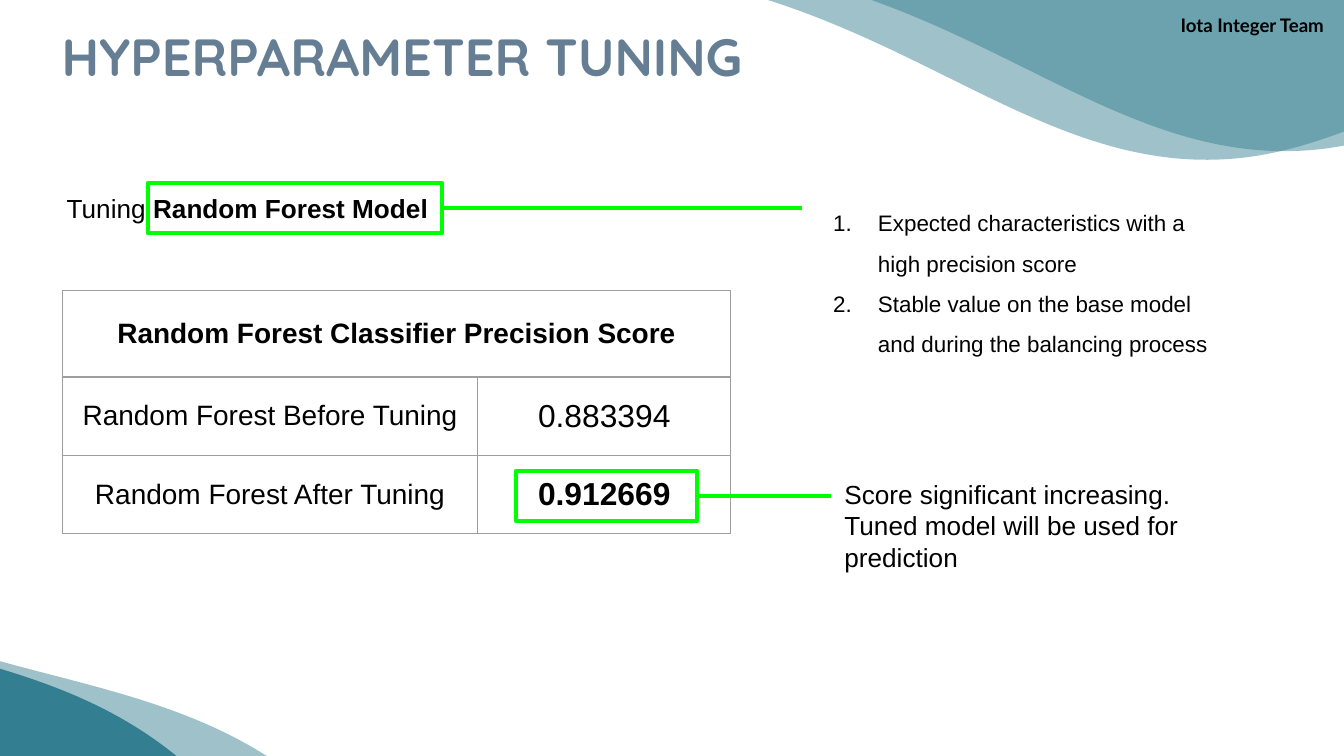
from lxml.etree import SubElement
from pptx import Presentation
from pptx.dml.color import RGBColor
from pptx.enum.shapes import MSO_CONNECTOR as Link, MSO_SHAPE as Form
from pptx.enum.text import MSO_ANCHOR as Anchor, PP_ALIGN as Align
from pptx.oxml import parse_xml
from pptx.oxml.ns import nsdecls, qn
from pptx.util import Pt

TEAL, LIME, BLACK = "337E90", "00FF00", "000000"
PAD = 7.2


def tint(code):
    """Turn a hex string into a colour."""
    return RGBColor.from_string(code)


def write(para, text, size=14, font="Arial", color=BLACK, bold=False, align=None):
    """Add one formatted run to a paragraph."""
    run = para.add_run()
    run.text = text
    face = run.font
    face.size, face.name, face.bold = Pt(size), font, bold
    face.color.rgb = tint(color)
    if align is not None:
        para.alignment = align


def pad(item):
    """Set equal margins on a text frame or cell."""
    item.margin_left = item.margin_right = Pt(PAD)
    item.margin_top = item.margin_bottom = Pt(PAD)


def frame(slide, box):
    """Add a wrapping text box and return its text frame."""
    text = slide.shapes.add_textbox(*map(Pt, box)).text_frame
    text.word_wrap = True
    pad(text)
    return text


def label(slide, box, text, **style):
    """Place a text box with a single run."""
    write(frame(slide, box).paragraphs[0], text, **style)


def bend(shape, starts):
    """Fuse three straight segments into a cubic curve at each start."""
    lines = list(shape._element.iter(qn("a:lnTo")))
    for i in starts:
        first, *rest = lines[i:i + 3]
        first.tag = qn("a:cubicBezTo")
        for line in rest:
            first.append(line[0])
            line.getparent().remove(line)


def wave(slide, left, top, spots, starts, alpha=47, turn=0):
    """Fill a curved outline with its corner at left, top."""
    trail = [(Pt(left + x), Pt(top + y)) for x, y in spots]
    pen = slide.shapes.build_freeform(*trail[0])
    pen.add_line_segments(trail[1:], close=False)
    shape = pen.convert_to_shape()
    bend(shape, starts)
    SubElement(next(shape._element.iter(qn("a:path"))), qn("a:close"))
    shape.rotation = turn
    shape.shadow.inherit = False
    shape.line.fill.background()
    shape.fill.solid()
    shape.fill.fore_color.rgb = tint(TEAL)
    if alpha < 100:
        hue = shape._element.spPr.find(qn("a:solidFill"))[0]
        SubElement(hue, qn("a:alpha"), val=str(alpha * 1000))


def waves(slide):
    """Draw the paired waves in two corners."""
    low = ((394.6, 240), (0, 240), (0, 0), (123, 202.5), (286, 119.5), (394.6, 240))
    high = ((600.5, 85.7), (522, 85.7), (451.5, 134), (381, 134),
            (255.6, 134), (190, 0), (0, 0), (600.5, 0))
    wave(slide, -208, 202, low, [2])
    wave(slide, 275, -41.8, high, [0, 3], turn=355)
    wave(slide, -276.5, 187.5, low, [2], alpha=100)
    wave(slide, 316.8, -46.4, high, [0, 3], turn=355)


def callout(slide, box, reach):
    """Group an outlined box with a line from its right side to reach."""
    left, top, width, height = box
    group = slide.shapes.add_group_shape()
    rect = group.shapes.add_shape(Form.RECTANGLE, *map(Pt, box))
    rect.shadow.inherit = False
    rect.fill.background()
    mid = top + height / 2
    line = group.shapes.add_connector(
        Link.STRAIGHT, Pt(left + width), Pt(mid), Pt(reach), Pt(mid))
    SubElement(line._element.spPr, qn("a:effectLst"))
    for item in (rect, line):
        item.line.color.rgb = tint(LIME)
        item.line.width = Pt(2.25)


def edge(cell):
    """Give a cell thin grey borders."""
    props = cell._tc.get_or_add_tcPr()
    for i, side in enumerate("LRTB"):
        props.insert(i, parse_xml(
            f'<a:ln{side} {nsdecls("a")} w="9525"><a:solidFill>'
            f'<a:srgbClr val="9E9E9E"/></a:solidFill></a:ln{side}>'))


def scores(slide, left, top):
    """Place the table of precision scores."""
    wide, high = (222.6, 135.6), (46.4, 41.9, 42)
    rows = (("Random Forest Classifier Precision Score", ""),
            ("Random Forest Before Tuning", "0.883394"),
            ("Random Forest After Tuning", "0.912669"))
    table = slide.shapes.add_table(
        3, 2, Pt(left), Pt(top), Pt(sum(wide)), Pt(sum(high))).table
    table.first_row = table.horz_banding = False
    for col, size in zip(table.columns, wide):
        col.width = Pt(size)
    for row, size in zip(table.rows, high):
        row.height = Pt(size)
    table.cell(0, 0).merge(table.cell(0, 1))
    for r, row in enumerate(rows):
        for c, text in enumerate(row):
            cell = table.cell(r, c)
            pad(cell)
            cell.vertical_anchor = Anchor.MIDDLE
            cell.fill.background()
            edge(cell)
            if text:
                write(cell.text_frame.paragraphs[0], text, size=17 if c else 15,
                      bold=(r, c) in ((0, 0), (2, 1)), align=Align.CENTER)


def points(slide, box, items):
    """Place a numbered list."""
    text = frame(slide, box)
    for i, item in enumerate(items):
        para = text.add_paragraph() if i else text.paragraphs[0]
        para.line_spacing = 1.5
        props = para._p.get_or_add_pPr()
        props.set("marL", str(Pt(36)))
        props.set("indent", str(Pt(-24)))
        hue = SubElement(props, qn("a:buClr"))
        SubElement(hue, qn("a:srgbClr"), val=BLACK)
        SubElement(props, qn("a:buAutoNum"), type="arabicPeriod")
        write(para, item, size=12)


def model(slide, box):
    """Place the line that names the tuned model."""
    para = frame(slide, box).paragraphs[0]
    write(para, "Tuning ")
    write(para, "Random Forest Model", bold=True)


def remark(slide, box):
    """Place the remark on the tuned score."""
    text = frame(slide, box)
    write(text.paragraphs[0], "Score significant increasing.")
    write(text.add_paragraph(), "Tuned model will be used for prediction")


def main():
    """Build and save the slide."""
    deck = Presentation()
    deck.slide_width, deck.slide_height = Pt(720), Pt(405)
    slide = deck.slides.add_slide(deck.slide_layouts[6])
    waves(slide)
    label(slide, (26, 6, 607, 47), "HYPERPARAMETER TUNING",
          size=28, font="Quicksand", color="657E93", bold=True)
    model(slide, (28.6, 96, 322, 31.5))
    scores(slide, 33.4, 155.6)
    remark(slide, (445.3, 249, 224, 65.5))
    callout(slide, (276.3, 252.4, 97.2, 26.7), 445)
    label(slide, (607.5, 1.5, 108.7, 26.6), "Iota Integer Team",
          size=10, font="Lato", bold=True, align=Align.RIGHT)
    points(slide, (427.3, 97.8, 236, 94.3),
           ("Expected characteristics with a high precision score",
            "Stable value on the base model and during the balancing process"))
    callout(slide, (79.2, 98, 157.7, 27), 429.7)
    deck.save("out.pptx")


if __name__ == "__main__":
    main()
